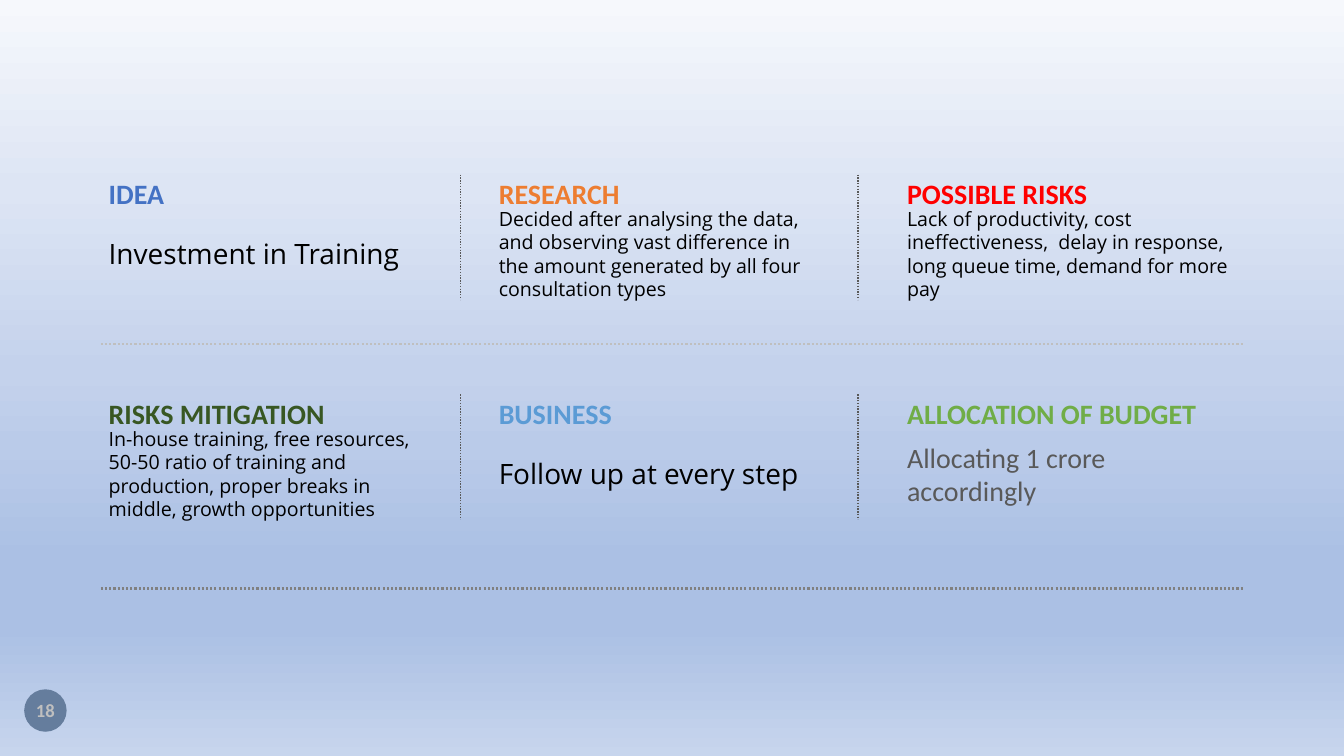
from lxml import etree
from pptx import Presentation
from pptx import util as u
from pptx.dml.color import RGBColor
from pptx.enum import dml, shapes, text
from pptx.oxml.ns import qn

BLACK = RGBColor(0x00, 0x00, 0x00)
DARK_GREY = RGBColor(0x59, 0x59, 0x59)
MID_GREY = RGBColor(0x80, 0x80, 0x80)
LIGHT_GREY = RGBColor(0xBF, 0xBF, 0xBF)
BADGE_BLUE = RGBColor(0x65, 0x7D, 0x9D)
BLUE = RGBColor(0x44, 0x72, 0xC4)
ORANGE = RGBColor(0xED, 0x7D, 0x31)
RED = RGBColor(0xFF, 0x00, 0x00)
DARK_GREEN = RGBColor(0x38, 0x57, 0x23)
SKY = RGBColor(0x5B, 0x9B, 0xD5)
GREEN = RGBColor(0x70, 0xAD, 0x47)

BACKDROP = [(0, "F6F8FC"), (25, "DDE5F4"), (49, "C4D2EC"), (59, "BACBE9"),
            (74, "ABC0E4"), (83, "ABC0E4"), (100, "C7D5ED")]

COLUMN_LEFTS = [2.74, 12.57, 22.86]
DIVIDER_LEFTS = [11.61, 21.62]
ROW_TOP, ROW_STEP = 4.44, 5.54
CELL_WIDTH, CELL_HEIGHT = 8.1, 3.15

TOPICS = [
    [("IDEA", BLUE, "Investment in Training", 20, "Open Sans", BLACK),
     ("RESEARCH", ORANGE, "Decided after analysing the data, and observing vast "
      "difference in the amount generated by all four consultation types",
      14, "Open Sans", BLACK),
     ("POSSIBLE RISKS", RED, "Lack of productivity, cost ineffectiveness,  delay in "
      "response, long queue time, demand for more pay", 14, "Open Sans", BLACK)],
    [("RISKS MITIGATION", DARK_GREEN, "In-house training, free resources, 50-50 ratio "
      "of training and production, proper breaks in middle, growth opportunities",
      14, "Open Sans", BLACK),
     ("BUSINESS", SKY, "Follow up at every step", 20, "Open Sans", BLACK),
     ("ALLOCATION OF BUDGET", GREEN, "Allocating 1 crore accordingly",
      20, "Calibri", DARK_GREY)],
]


def paint_background(slide):
    """Fill the slide with the vertical blue gradient."""
    fill = slide.background.fill
    fill.gradient()
    fill.gradient_angle = 270
    stops = next(slide.element.iter(qn("a:gsLst")))
    for stop in list(stops):
        stops.remove(stop)
    for percent, colour in BACKDROP:
        stop = etree.SubElement(stops, qn("a:gs"), pos=str(percent * 1000))
        etree.SubElement(stop, qn("a:srgbClr"), val=colour)


def write_text(shape, words, size, font_name, colour, bold=False):
    """Put one middle-anchored run into a shape without insets."""
    frame = shape.text_frame
    frame.word_wrap = True
    frame.vertical_anchor = text.MSO_ANCHOR.MIDDLE
    frame.margin_left = frame.margin_right = frame.margin_top = frame.margin_bottom = 0
    paragraph = frame.paragraphs[0]
    run = paragraph.add_run()
    run.text = words
    run.font.size = u.Pt(size)
    run.font.name = font_name
    run.font.bold = bold
    run.font.color.rgb = colour
    return paragraph


def add_topic(slide, left, top, width, height, topic):
    """Place a coloured heading with its description below."""
    heading, accent, description, size, font_name, colour = topic
    heading_box = slide.shapes.add_textbox(
        u.Cm(left), u.Cm(top), u.Cm(width), u.Cm(0.86))
    write_text(heading_box, heading, 20, "Calibri", accent, bold=True)
    body_box = slide.shapes.add_textbox(
        u.Cm(left), u.Cm(top + 0.76), u.Cm(width), u.Cm(height - 0.76))
    write_text(body_box, description, size, font_name, colour)


def add_dotted_line(slide, left, top, width, height, colour, weight):
    """Draw a dotted line across the given box."""
    line = slide.shapes.add_connector(
        shapes.MSO_CONNECTOR.STRAIGHT,
        u.Cm(left), u.Cm(top), u.Cm(left + width), u.Cm(top + height))
    line.line.color.rgb = colour
    line.line.width = u.Pt(weight)
    line.line.dash_style = dml.MSO_LINE.ROUND_DOT
    etree.SubElement(line.element.spPr, qn("a:effectLst"))


def add_topic_row(slide, top, topics):
    """Place three topics separated by vertical dividers."""
    for left, topic in zip(COLUMN_LEFTS, topics):
        add_topic(slide, left, top, CELL_WIDTH, CELL_HEIGHT, topic)
    for left in DIVIDER_LEFTS:
        add_dotted_line(slide, left, top - 0.04, 0, CELL_HEIGHT, DARK_GREY, 1)


def add_page_badge(slide, left, top, size, number):
    """Place the round page number."""
    badge = slide.shapes.add_shape(
        shapes.MSO_SHAPE.OVAL, u.Cm(left), u.Cm(top), u.Cm(size), u.Cm(size))
    badge.shadow.inherit = False
    badge.fill.solid()
    badge.fill.fore_color.rgb = BADGE_BLUE
    badge.line.fill.background()
    paragraph = write_text(badge, number, 13.3, "Calibri", LIGHT_GREY, bold=True)
    paragraph.alignment = text.PP_ALIGN.CENTER
    badge.text_frame.word_wrap = False


def main():
    """Build and save the slide."""
    presentation = Presentation()
    presentation.slide_width = u.Cm(33.87)
    presentation.slide_height = u.Cm(19.05)
    slide = presentation.slides.add_slide(presentation.slide_layouts[6])
    paint_background(slide)
    add_page_badge(slide, 0.61, 17.37, 1.07, "18")
    for row, topics in enumerate(TOPICS):
        add_topic_row(slide, ROW_TOP + row * ROW_STEP, topics)
    for top, colour in [(8.66, LIGHT_GREY), (14.83, MID_GREY)]:
        add_dotted_line(slide, 2.54, top, 28.78, 0, colour, 1.5)
    presentation.save("out.pptx")


if __name__ == "__main__":
    main()
